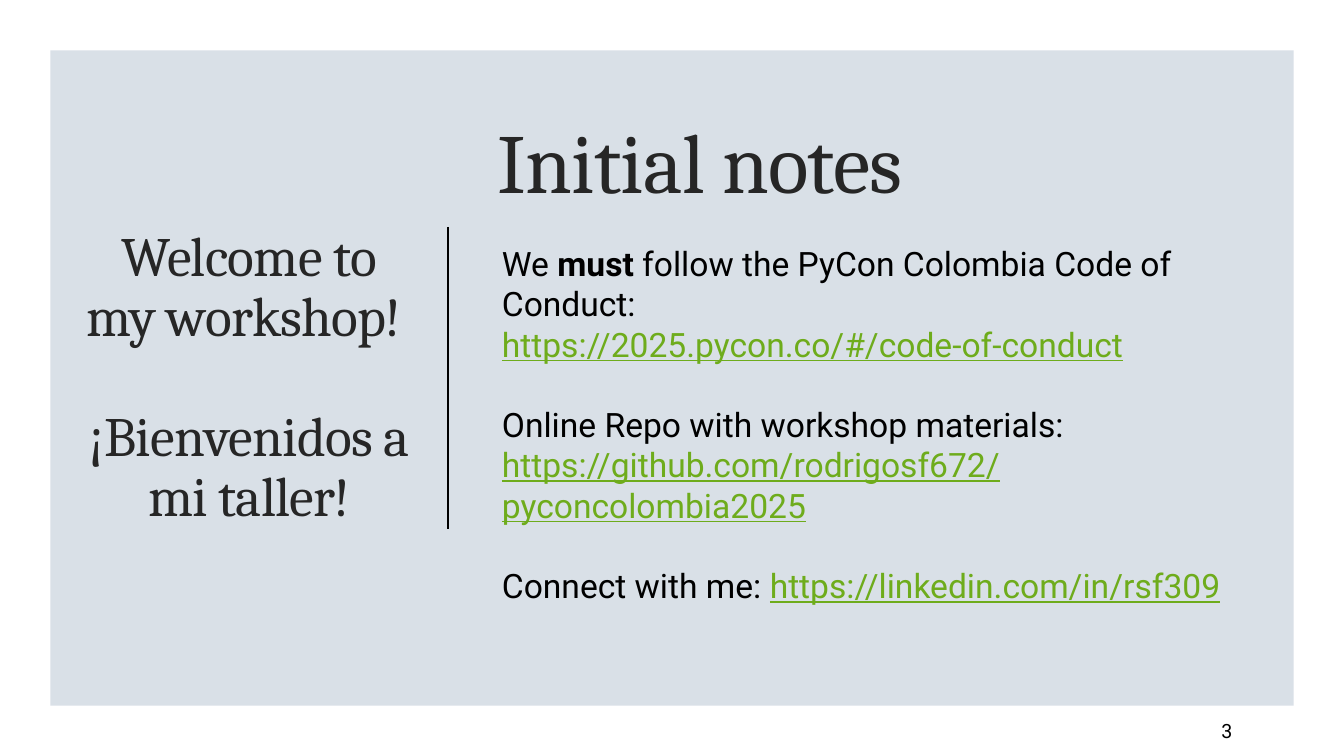
from lxml import etree
from pptx import Presentation
from pptx import util as u
from pptx.dml.color import RGBColor
from pptx.enum import shapes, text
from pptx.oxml.ns import qn


class Deck:
    """Holds the style and the current slide, and draws each kind of element."""

    colours = {"panel": "D9E0E7", "frame": "FFFFFF", "title": "262626", "body": "000000", "link": "6EAC1C"}
    serif, sans = "Cambria", "Roboto"

    def __init__(self, width, height):
        self.show = Presentation()
        self.show.slide_width, self.show.slide_height = u.Cm(width), u.Cm(height)
        self.slide = self.show.slides.add_slide(self.show.slide_layouts[6])
        self.paint(self.slide.background.fill, "panel")

    def paint(self, fill, colour):
        fill.solid()
        fill.fore_color.rgb = RGBColor.from_string(self.colours[colour])

    def block(self, place, colour):
        area = self.slide.shapes.add_shape(shapes.MSO_SHAPE.RECTANGLE, *map(u.Cm, place))
        area.shadow.inherit = False
        self.paint(area.fill, colour)
        area.line.fill.background()

    def divider(self, x, top, bottom):
        rule = self.slide.shapes.add_connector(
            shapes.MSO_CONNECTOR.STRAIGHT, *map(u.Cm, (x, top, x, bottom)))
        self.paint(rule.line.fill, "body")
        rule.line.width = u.Pt(1.5)
        etree.SubElement(rule._element.spPr, qn("a:effectLst"))

    def frame(self, place, anchor=text.MSO_ANCHOR.MIDDLE):
        frame = self.slide.shapes.add_textbox(*map(u.Cm, place)).text_frame
        frame.word_wrap = True
        frame.vertical_anchor = anchor
        return frame

    def style(self, run, font, size, colour):
        run.font.name, run.font.size = font, u.Pt(size)
        self.paint(run.font.fill, colour)

    def heading(self, place, lines, size, align=text.PP_ALIGN.LEFT, gap=0):
        frame = self.frame(place)
        frame.text = "\n".join(lines)
        for index, paragraph in enumerate(frame.paragraphs):
            paragraph.alignment = align
            paragraph.line_spacing = 0.9
            if index:
                paragraph.space_before = u.Pt(gap)
            for run in paragraph.runs:
                self.style(run, self.serif, size, "title")
                run._r.get_or_add_rPr().set("spc", "-50")

    def notes(self, place, notes, size, gap):
        frame = self.frame(place, text.MSO_ANCHOR.TOP)
        for index, (starts_group, pieces) in enumerate(notes):
            paragraph = frame.add_paragraph() if index else frame.paragraphs[0]
            if index and starts_group:
                paragraph.space_before = u.Pt(gap)
            for wording, role in pieces:
                run = paragraph.add_run()
                run.text = wording
                self.style(run, self.sans, size, "link" if role == "link" else "body")
                run.font.bold = role == "strong"
                run.font.underline = role == "link"

    def page_number(self, place, number):
        frame = self.frame(place)
        frame.text = str(number)
        self.style(frame.paragraphs[0].runs[0], self.sans, 14, "body")


def main():
    width, height, margin = 33.87, 19.05, 1.27
    deck = Deck(width, height)
    deck.block((0, 0, width, height), "frame")
    deck.block((margin, margin, width - 2 * margin, height - 2 * margin), "panel")
    deck.heading((1.75, 5.36, 9.07, 8.36),
                 ["Welcome to\vmy workshop! ", "¡Bienvenidos a mi taller!"],
                 39.6, text.PP_ALIGN.CENTER, gap=43)
    deck.divider(11.28, 5.72, 13.34)
    deck.heading((12.29, 2.67, 18.8, 3.02), ["Initial notes"], 60)
    deck.notes((12.4, 6, 19.66, 9.3), [
        (True, [("We ", "plain"), ("must", "strong"),
                (" follow the PyCon Colombia Code of Conduct:", "plain")]),
        (False, [("https://2025.pycon.co/#/code-of-conduct", "link")]),
        (True, [("Online Repo with workshop materials:", "plain")]),
        (False, [("https://github.com/rodrigosf672/pyconcolombia2025", "link")]),
        (True, [("Connect with me: ", "plain"), ("https://linkedin.com/in/rsf309", "link")]),
    ], 24, gap=28.5)
    deck.page_number((30.53, 17.91, 2.16, 1.02), 3)
    deck.show.save("out.pptx")


if __name__ == "__main__":
    main()
